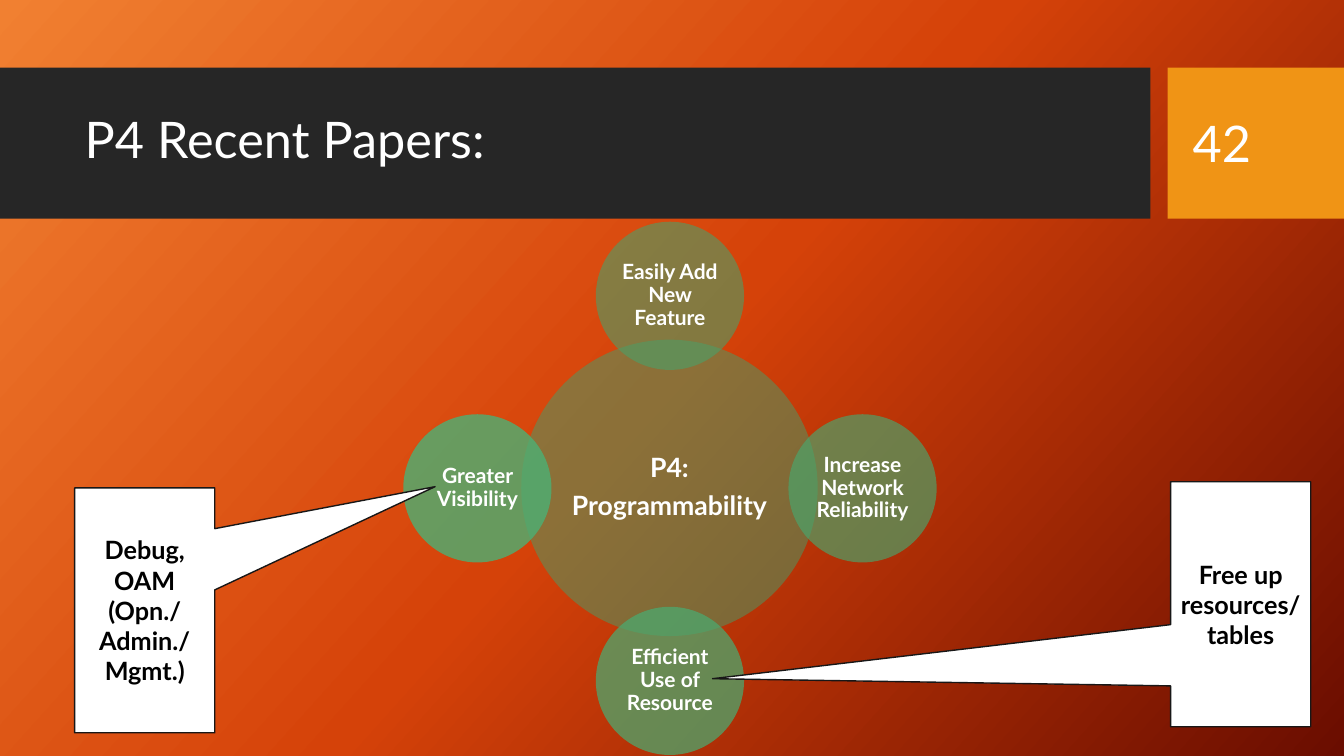
import copy
import pptx
import pptx.dml.color
import pptx.enum.shapes
import pptx.enum.text
import pptx.oxml.ns
import pptx.util
from lxml import etree

KIND = pptx.enum.shapes.MSO_SHAPE
ALIGN = pptx.enum.text.PP_ALIGN
MIDDLE = pptx.enum.text.MSO_ANCHOR.MIDDLE
FONT = "Lato"
WHITE = "FFFFFF"
SCALE = 9144

STOPS = [(0, "F18031"), (0.5, "D54209"), (1, "6A0D00")]
DOTS = [
    ("Easily Add New Feature", 0, -1, "46A36B", 57),
    ("Increase Network Reliability", 1, 0, "48A76E", 65),
    ("Efficient Use of Resource", 0, 1, "4AAB71", 72),
    ("Greater Visibility", -1, 0, "4CB074", 80),
]
NOTES = [
    (["Free up resources/ tables"], (1161, 478, 139, 243), (-3.768, 0.304)),
    (["Debug, OAM", "(Opn./ Admin./ Mgmt.)"], (74, 484, 139, 243), (2.072, -0.505)),
]


def px(num):
    return pptx.util.Emu(num * SCALE)


def tint(code):
    return pptx.dml.color.RGBColor.from_string(code)


def apply(item, vals):
    for key, val in vals.items():
        setattr(item, key, val)


def write(shape, lines, size, color=WHITE, bold=False, inset=None, para=None):
    frame = shape.text_frame
    apply(frame, {"word_wrap": True, "vertical_anchor": MIDDLE})
    if inset is not None:
        sides = ("left", "top", "right", "bottom")
        apply(frame, {f"margin_{side}": px(inset) for side in sides})
    for num, line in enumerate(lines):
        part = frame.add_paragraph() if num else frame.paragraphs[0]
        apply(part, para or {})
        run = part.add_run()
        run.text = line
        apply(run.font, {"name": FONT, "size": pptx.util.Pt(size), "bold": bold})
        run.font.color.rgb = tint(color)


def draw(slide, kind, box, fill, alpha=100, line=None):
    shape = slide.shapes.add_shape(kind, *map(px, box))
    shape.shadow.inherit = False
    shape.fill.solid()
    shape.fill.fore_color.rgb = tint(fill)
    if alpha < 100:
        color = shape.element.spPr.find(".//" + pptx.oxml.ns.qn("a:srgbClr"))
        etree.SubElement(color, pptx.oxml.ns.qn("a:alpha")).set("val", str(alpha * 1000))
    if line:
        shape.line.color.rgb = tint(line)
        shape.line.width = pptx.util.Pt(1)
    else:
        shape.line.fill.background()
    return shape


def paint(slide):
    fill = slide.background.fill
    fill.gradient()
    fill.gradient_angle = 360 - 42
    stops = slide.element.find(".//" + pptx.oxml.ns.qn("a:gsLst"))
    stops.insert(1, copy.deepcopy(stops[0]))
    for stop, (spot, code) in zip(fill.gradient_stops, STOPS):
        stop.position = spot
        stop.color.rgb = tint(code)


def header(slide, box):
    left, top, wide, high = box
    tab = 175
    title = slide.shapes.title
    bars = [
        draw(slide, KIND.RECTANGLE, (left, top, wide - tab - 17, high), "262626"),
        draw(slide, KIND.RECTANGLE, (left + wide - tab, top, tab, high), "F09415"),
    ]
    for bar in bars:
        title.element.addprevious(bar.element)
    spot = (left + 74, top + 15, 1051, 118)
    apply(title, dict(zip(("left", "top", "width", "height"), map(px, spot))))
    write(title, ["P4 Recent Papers:"], 36,
          para={"alignment": ALIGN.LEFT, "line_spacing": 0.9})
    page = slide.shapes.add_textbox(*map(px, (left + wide - 160, top + 15, 126, 119)))
    write(page, ["42"], 36)


def wheel(slide, box):
    left, top, side, _ = box
    hub, dot = 294, 147
    reach = (side - dot) // 2
    mid_x, mid_y = left + side // 2, top + side // 2
    para = {"alignment": ALIGN.CENTER, "line_spacing": 0.9}

    def disc(lines, x, y, size, fill, alpha, text, inset):
        spot = (x - size // 2, y - size // 2, size, size)
        shape = draw(slide, KIND.OVAL, spot, fill, alpha)
        write(shape, lines, text, bold=True, inset=inset, para=para)
        return shape

    core = disc(["P4:", "Programmability"], mid_x, mid_y, hub, "449F68", 50, 19, 3)
    for part in core.text_frame.paragraphs:
        part.space_after = pptx.util.Pt(7)
    for text, x, y, fill, alpha in DOTS:
        disc([text], mid_x + x * reach, mid_y + y * reach, dot, fill, alpha, 15, 2)


def callout(slide, box, lines, tip):
    shape = draw(slide, KIND.RECTANGULAR_CALLOUT, box, WHITE, line="181717")
    for num, val in enumerate(tip):
        shape.adjustments[num] = val
    write(shape, lines, 18, "000000", True, para={"alignment": ALIGN.CENTER})


def main():
    deck = pptx.Presentation()
    apply(deck, {"slide_width": px(1333), "slide_height": px(750)})
    slide = deck.slides.add_slide(deck.slide_layouts[5])
    paint(slide)
    header(slide, (0, 67, 1333, 150))
    wheel(slide, (399, 219, 530, 530))
    for lines, box, tip in NOTES:
        callout(slide, box, lines, tip)
    deck.save("out.pptx")


if __name__ == "__main__":
    main()
